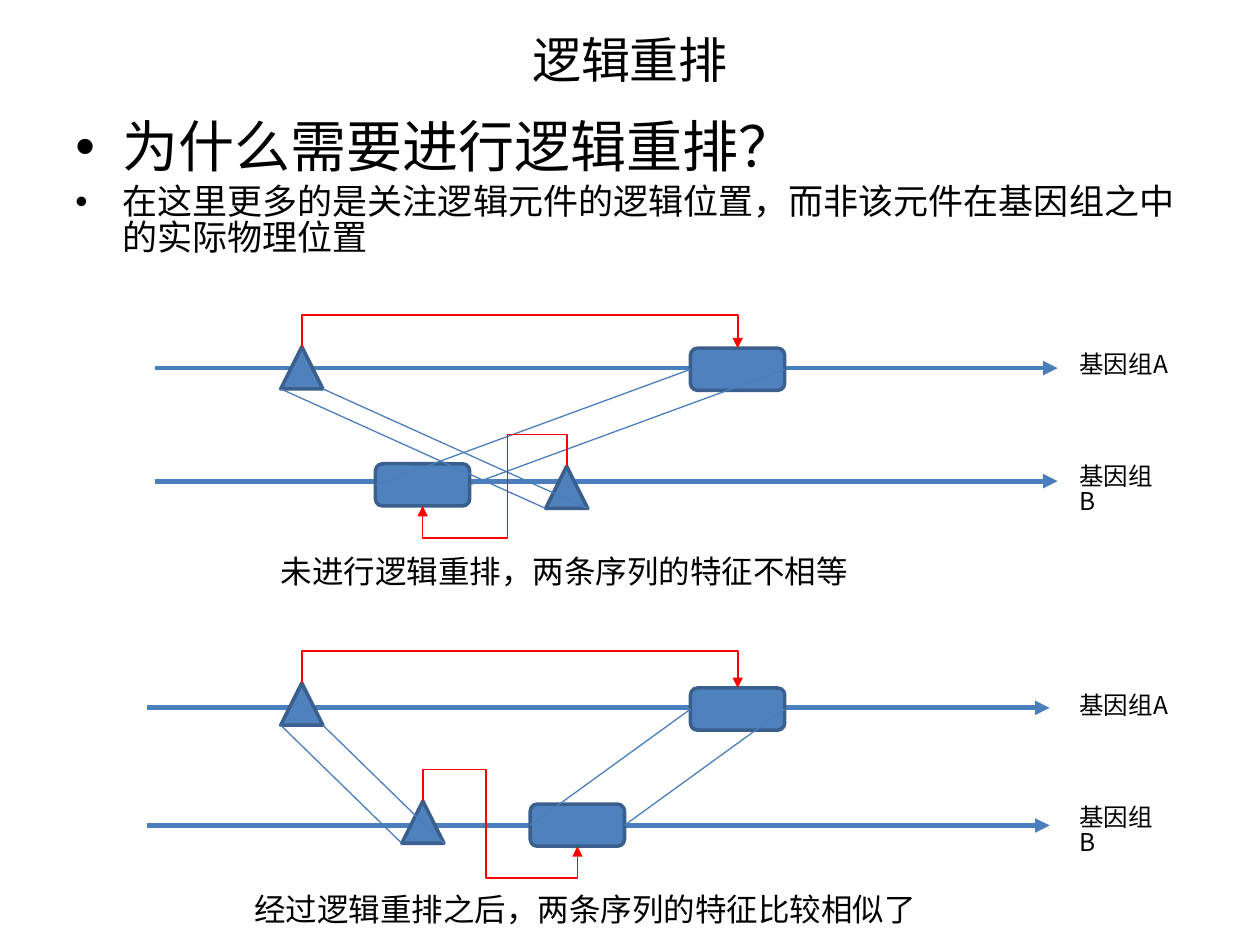
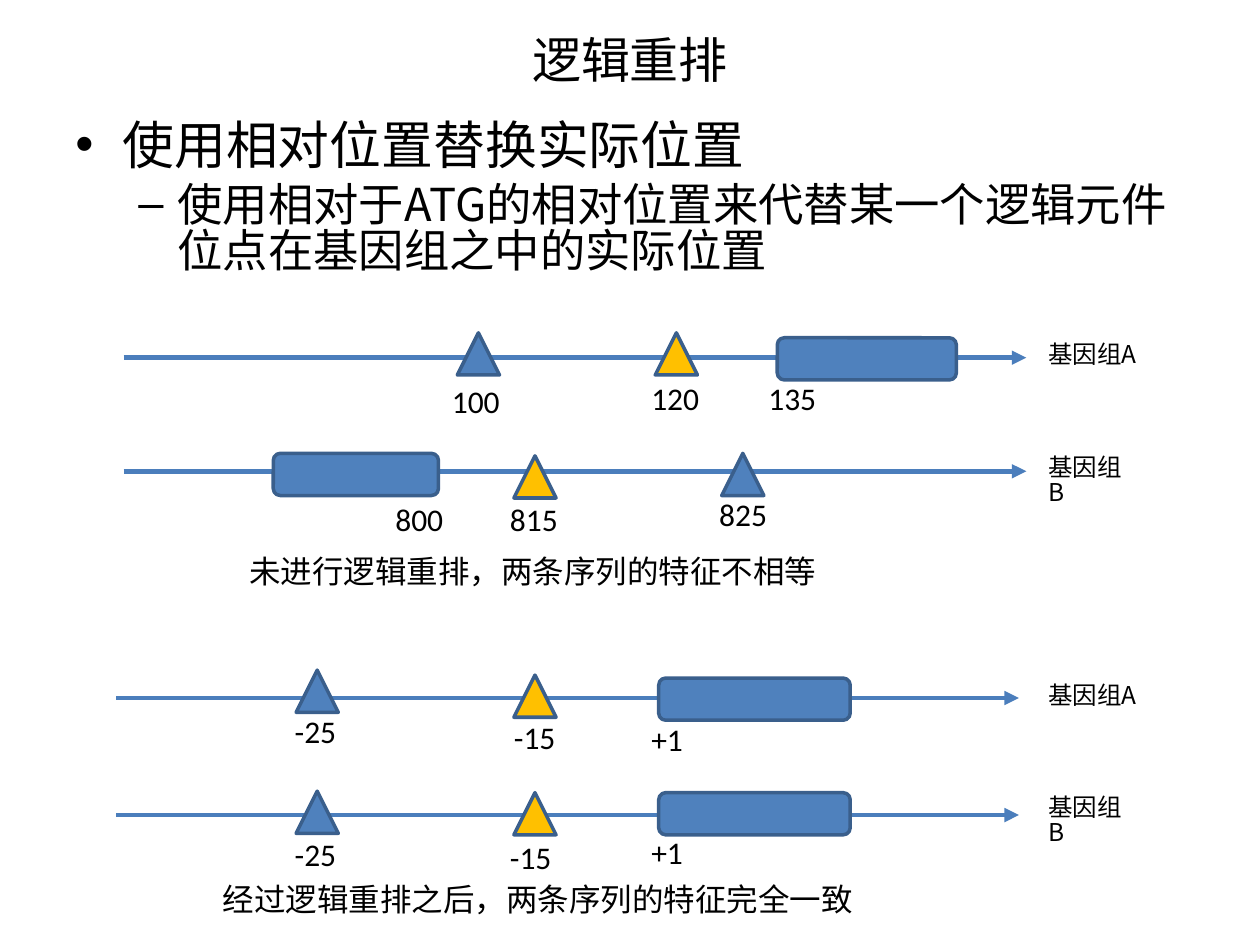
from lxml import etree
from pptx import Presentation
from pptx.dml.color import RGBColor
from pptx.enum.shapes import MSO_CONNECTOR, MSO_SHAPE
from pptx.enum.text import MSO_ANCHOR, PP_ALIGN
from pptx.oxml.ns import qn
from pptx.util import Cm, Pt

TRIANGLE, ROUNDED = MSO_SHAPE.ISOSCELES_TRIANGLE, MSO_SHAPE.ROUNDED_RECTANGLE
STRAIGHT, ELBOW = MSO_CONNECTOR.STRAIGHT, MSO_CONNECTOR.ELBOW
CENTER, LEFT = PP_ALIGN.CENTER, PP_ALIGN.LEFT
TOP, MIDDLE = MSO_ANCHOR.TOP, MSO_ANCHOR.MIDDLE
TOP_SITE, BOTTOM_SITE = 0, 2

# Theme: colours, fonts, type sizes, line widths
THEME = {
    "text": RGBColor(0, 0, 0),
    "element": RGBColor(0x4F, 0x81, 0xBD),
    "marker": RGBColor(0xFF, 0xC0, 0x00),
    "outline": RGBColor(0x3A, 0x5F, 0x8C),
    "axis": RGBColor(0x4B, 0x7E, 0xBC),
    "regulation": RGBColor(0xFF, 0, 0),
    "chinese_font": "Noto Sans CJK SC",
    "number_font": "Calibri",
    "title_size": 28, "caption_size": 18, "label_size": 14, "number_size": 18,
    "axis_width": 2.75, "outline_width": 2, "regulation_width": 1, "match_width": 0.75,
}
CHINESE, NUMBER = THEME["chinese_font"], THEME["number_font"]
TIGHT = 0.85  # line spacing for the tall Chinese font

# Measures in centimetres
TITLE_PLACE = (1.27, 0.43, 22.86, 1.7)
BODY_PLACE = (1.27, 2.34, 22.86, 3.84)
AXIS_LENGTH = 18.2
ELEMENT_HEIGHT = 0.85
CLEARANCE = 0.64
ELBOW_TURN = 0.41

# Content: a row is axis height, label, label top, elements;
# an element is kind, left, top, width, then number, number left, number top
BEFORE = "未进行逻辑重排，两条序列的特征不相等"
SLIDES = [
    {
        "body": [("为什么需要进行逻辑重排？", 32, "•", 0.95, 0.95),
                 ("在这里更多的是关注逻辑元件的逻辑位置，而非该元件在基因组之中的实际物理位置",
                  20, "•", 0.95, 0.95)],
        "label_left": 21.51,
        "linked": True,
        "panels": [
            {"axis_left": 3.12, "caption": (BEFORE, 5.41, 11.13, 12.07), "rows": [
                (7.42, "基因组A", 7.01, [("triangle", 5.66, 6.99, 0.85),
                                       ("box", 13.92, 7.02, 1.9)]),
                (9.7, "基因组B", 9.27, [("box", 7.57, 9.35, 1.9),
                                      ("triangle", 11, 9.4, 0.85)])]},
            {"axis_left": 2.96,
             "caption": ("经过逻辑重排之后，两条序列的特征比较相似了", 4.88, 17.93, 13.97),
             "rows": [
                (14.27, "基因组A", 13.87, [("triangle", 5.66, 13.77, 0.85),
                                         ("box", 13.92, 13.87, 1.9)]),
                (16.64, "基因组B", 16.13, [("triangle", 8.1, 16.15, 0.85),
                                         ("box", 10.69, 16.21, 1.9)])]},
        ],
    },
    {
        "body": [("使用相对位置替换实际位置", 29.6, "•", 0.95, 0.95),
                 ("使用相对于ATG的相对位置来代替某一个逻辑元件位点在基因组之中的实际位置",
                  25.9, "–", 2.06, 0.79)],
        "label_left": 20.88,
        "linked": False,
        "panels": [
            {"axis_left": 2.49, "caption": (BEFORE, 4.78, 11.13, 12.07), "rows": [
                (7.21, "基因组A", 6.81, [("triangle", 9.22, 6.71, 0.85, "100", 8.86, 7.57),
                                       ("marker", 13.21, 6.71, 0.85, "120", 12.88, 7.52),
                                       ("box", 15.67, 6.81, 3.61, "135", 15.24, 7.52)]),
                (9.5, "基因组B", 9.07, [("box", 5.51, 9.14, 3.33, "800", 7.72, 9.96),
                                      ("marker", 10.36, 9.19, 0.85, "815", 10.03, 9.96),
                                      ("triangle", 14.55, 9.14, 0.85, "825", 14.25, 9.86)])]},
            {"axis_left": 2.34,
             "caption": ("经过逻辑重排之后，两条序列的特征完全一致", 4.24, 17.73, 13.34),
             "rows": [
                (14.07, "基因组A", 13.67, [("triangle", 5.97, 13.51, 0.85, "-25", 5.69, 14.22),
                                         ("marker", 10.36, 13.61, 0.85, "-15", 10.11, 14.35),
                                         ("box", 13.28, 13.67, 3.86, "+1", 12.88, 14.4)]),
                (16.43, "基因组B", 15.93, [("triangle", 5.97, 15.95, 0.85, "-25", 5.69, 16.71),
                                         ("marker", 10.36, 15.98, 0.85, "-15", 10.03, 16.76),
                                         ("box", 13.28, 15.98, 3.86, "+1", 12.88, 16.66)])]},
        ],
    },
]
NUMBER_WIDTHS = {"1": 1.5, "8": 1.5, "-": 1.37, "+": 1.17}


def write(shape, place, lines, font, wrap=True, align=LEFT, anchor=TOP):
    """Place a text shape; lines are (text, size, bullet, margin, hanging)."""
    for name, value in zip(("left", "top", "width", "height"), place):
        setattr(shape, name, Cm(value))
    frame = shape.text_frame
    for name, value in {"word_wrap": wrap, "vertical_anchor": anchor}.items():
        setattr(frame, name, value)
    for index, (text, size, bullet, margin, hanging) in enumerate(lines):
        paragraph = frame.add_paragraph() if index else frame.paragraphs[0]
        spacing = {"alignment": align, "line_spacing": TIGHT if font == CHINESE else 1.0,
                   "space_before": Pt(0.2 * size if index else 0)}
        for name, value in spacing.items():
            setattr(paragraph, name, value)
        if bullet:
            properties = paragraph._p.get_or_add_pPr()
            properties.set("marL", str(Cm(margin)))
            properties.set("indent", str(-Cm(hanging)))
            etree.SubElement(properties, qn("a:buFont")).set("typeface", "Arial")
            etree.SubElement(properties, qn("a:buChar")).set("char", bullet)
        run = paragraph.add_run()
        run.text = text
        for name, value in {"name": font, "size": Pt(size), "bold": False}.items():
            setattr(run.font, name, value)
        run.font.color.rgb = THEME["text"]
        east_asian = etree.SubElement(run._r.get_or_add_rPr(), qn("a:ea"))
        east_asian.set("typeface", font)


def draw_line(slide, kind, start, end, color, width, arrow):
    """Draw a connector between two points given in centimetres."""
    connector = slide.shapes.add_connector(kind, *[Cm(value) for value in (*start, *end)])
    connector.line.color.rgb = color
    connector.line.width = Pt(width)
    if arrow:
        line = connector.line._get_or_add_ln()
        etree.SubElement(line, qn("a:tailEnd")).set("type", "triangle")
    etree.SubElement(connector._element.spPr, qn("a:effectLst"))
    return connector


presentation = Presentation()
presentation.slide_width, presentation.slide_height = Cm(25.4), Cm(19.05)
title_only = presentation.slide_layouts[5]

for content in SLIDES:
    slide = presentation.slides.add_slide(title_only)

    # Title and body
    write(slide.shapes.title, TITLE_PLACE, [("逻辑重排", THEME["title_size"], None, 0, 0)],
          CHINESE, align=CENTER, anchor=MIDDLE)
    write(slide.shapes.add_textbox(0, 0, 0, 0), BODY_PLACE, content["body"], CHINESE)

    for panel in content["panels"]:
        # Genome axes with their labels
        axis_left = panel["axis_left"]
        for height, label, label_top, _ in panel["rows"]:
            draw_line(slide, STRAIGHT, (axis_left, height), (axis_left + AXIS_LENGTH, height),
                      THEME["axis"], THEME["axis_width"], True)
            write(slide.shapes.add_textbox(0, 0, 0, 0),
                  (content["label_left"], label_top, 2.31, 0.86),
                  [(label, THEME["label_size"], None, 0, 0)], CHINESE)

        # Elements and their position numbers
        drawn = []
        for *_, elements in panel["rows"]:
            row = {}
            for kind, left, top, width, *number in elements:
                shape = slide.shapes.add_shape(
                    ROUNDED if kind == "box" else TRIANGLE,
                    Cm(left), Cm(top), Cm(width), Cm(ELEMENT_HEIGHT))
                shape.shadow.inherit = False
                shape.fill.solid()
                shape.fill.fore_color.rgb = THEME["marker" if kind == "marker" else "element"]
                shape.line.color.rgb = THEME["outline"]
                shape.line.width = Pt(THEME["outline_width"])
                row[kind] = (shape, left, top, width)
                if number:
                    text, number_left, number_top = number
                    write(slide.shapes.add_textbox(0, 0, 0, 0),
                          (number_left, number_top, NUMBER_WIDTHS[text[0]], 1.02),
                          [(text, THEME["number_size"], None, 0, 0)], NUMBER, wrap=False)
            drawn.append(row)

        # Caption
        caption, left, top, width = panel["caption"]
        write(slide.shapes.add_textbox(0, 0, 0, 0), (left, top, width, 1.02),
              [(caption, THEME["caption_size"], None, 0, 0)], CHINESE, wrap=False)

        if not content["linked"]:
            continue

        # Matching edges: box sides at mid height, triangle corners at the base
        for kind, drop in (("box", ELEMENT_HEIGHT / 2), ("triangle", ELEMENT_HEIGHT)):
            (_, left_a, top_a, width), (_, left_b, top_b, _) = [row[kind] for row in drawn]
            for offset in (0, width):
                draw_line(slide, STRAIGHT, (left_a + offset, top_a + drop),
                          (left_b + offset, top_b + drop),
                          THEME["axis"], THEME["match_width"], False)

        # Regulation arrows: over the top in row A, round to the bottom in row B
        for row, site in zip(drawn, (TOP_SITE, BOTTOM_SITE)):
            triangle, left, start_y, width = row["triangle"]
            box, box_left, end_y, box_width = row["box"]
            start_x, end_x = left + width / 2, box_left + box_width / 2
            if site == BOTTOM_SITE:
                end_y += ELEMENT_HEIGHT
            connector = draw_line(slide, ELBOW, (start_x, start_y), (end_x, end_y),
                                  THEME["regulation"], THEME["regulation_width"], True)
            connector.begin_connect(triangle, TOP_SITE)
            connector.end_connect(box, site)
            # The elbow leaves upwards, so its frame is turned a quarter
            rise, reach = end_y - start_y, abs(end_x - start_x)
            frame = {"left": (start_x + end_x - rise) / 2, "top": (start_y + end_y - reach) / 2,
                     "width": rise, "height": reach}
            for name, value in frame.items():
                setattr(connector, name, Cm(value))
            turn = {"rot": "16200000", "flipH": "1", "flipV": "1" if end_x < start_x else "0"}
            for name, value in turn.items():
                connector._element.spPr.xfrm.set(name, value)
            overshoot = CLEARANCE / rise
            bends = [-overshoot]
            if site == BOTTOM_SITE:
                bends += [ELBOW_TURN, 1 + overshoot]
            geometry = connector._element.spPr.find(qn("a:prstGeom"))
            geometry.set("prst", f"bentConnector{len(bends) + 2}")
            adjustments = geometry.find(qn("a:avLst"))
            if adjustments is None:
                adjustments = etree.SubElement(geometry, qn("a:avLst"))
            for index, bend in enumerate(bends, 1):
                guide = etree.SubElement(adjustments, qn("a:gd"))
                guide.set("name", f"adj{index}")
                guide.set("fmla", f"val {round(bend * 100000)}")

presentation.save("out.pptx")
